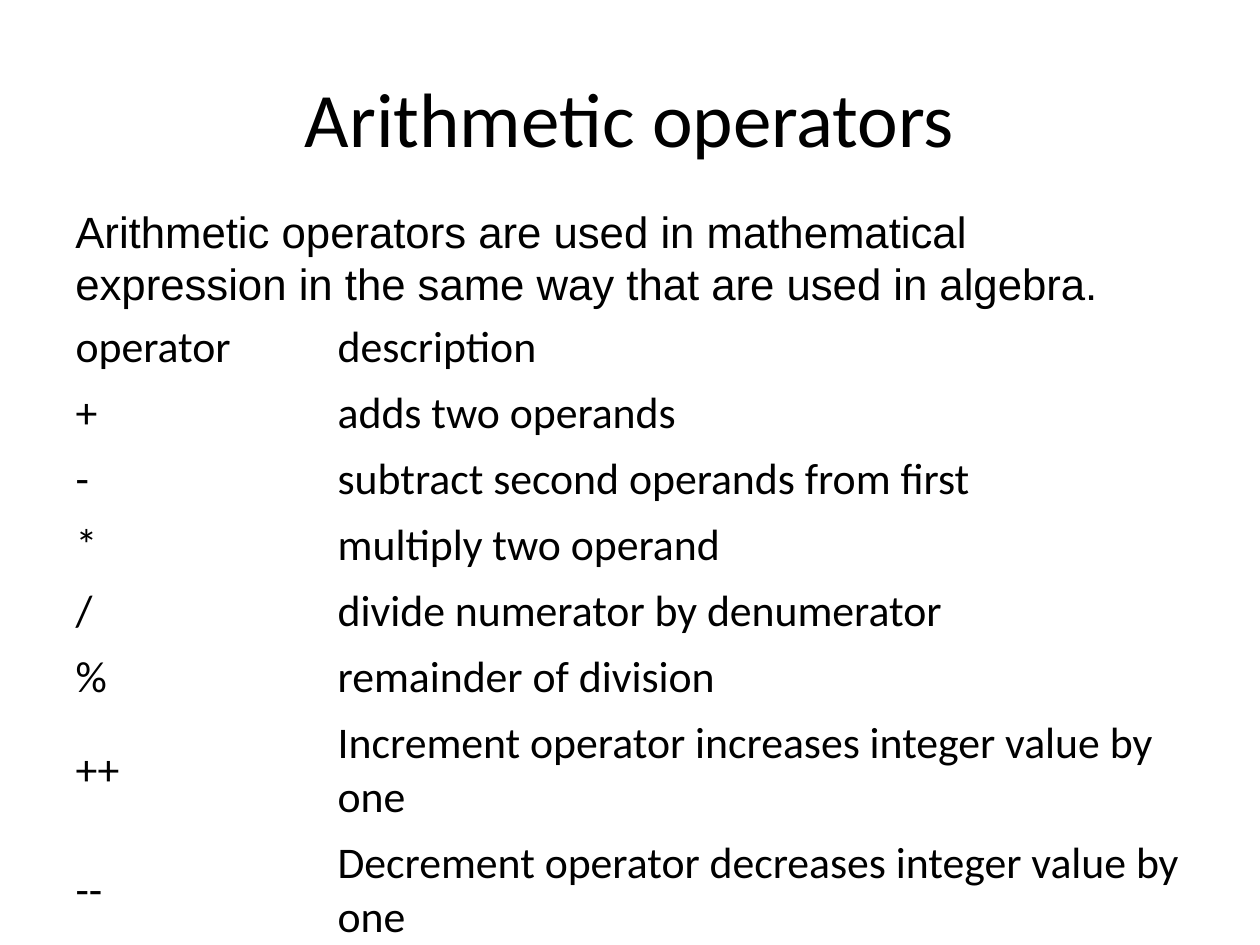
from dataclasses import dataclass

from pptx import Presentation
from pptx.dml import color
from pptx.enum import text
from pptx.util import Inches, Pt


@dataclass(frozen=True)
class Theme:
    ink: color.RGBColor = color.RGBColor(0, 0, 0)
    heading_font: str = "Calibri"
    intro_font: str = "Arial"
    title_size: int = 44
    body_size: int = 25


@dataclass(frozen=True)
class OperatorRow:
    operator: str
    description: str
    height: float = 0.52


THEME = Theme()
LEFT, WIDTH = 0.5, 9
COLUMN_WIDTHS = (2.08, 6.92)
TALL_ROW = 0.95
INTRO = (
    "Arithmetic operators are used in mathematical",
    "expression in the same way that are used in algebra.",
)
ROWS = (
    OperatorRow("operator", "description"),
    OperatorRow("+", "adds two operands"),
    OperatorRow("-", "subtract second operands from first"),
    OperatorRow("*", "multiply two operand"),
    OperatorRow("/", "divide numerator by denumerator"),
    OperatorRow("%", "remainder of division"),
    OperatorRow("++", "Increment operator increases integer value by one", TALL_ROW),
    OperatorRow("--", "Decrement operator decreases integer value by one", TALL_ROW),
)


def write(frame, lines: tuple[str, ...], font: str, size: int,
          align=text.PP_ALIGN.LEFT) -> None:
    frame.text = "\n".join(lines)
    frame.word_wrap = True
    frame.vertical_anchor = text.MSO_ANCHOR.MIDDLE
    for paragraph in frame.paragraphs:
        paragraph.alignment = align
        paragraph.font.name = font
        paragraph.font.size = Pt(size)
        paragraph.font.color.rgb = THEME.ink


def add_title(page) -> None:
    title = page.shapes.title
    title.left, title.top = Inches(LEFT), Inches(0.3)
    title.width, title.height = Inches(WIDTH), Inches(1.25)
    write(title.text_frame, ("Arithmetic operators",), THEME.heading_font,
          THEME.title_size, text.PP_ALIGN.CENTER)


def add_operator_table(page) -> None:
    frame = page.shapes.add_table(
        len(ROWS), len(COLUMN_WIDTHS), Inches(LEFT), Inches(2.5),
        Inches(WIDTH), Inches(sum(row.height for row in ROWS)))
    table = frame.table
    table.first_row = table.horz_banding = False
    for column, width in zip(table.columns, COLUMN_WIDTHS):
        column.width = Inches(width)
    for table_row, row in zip(table.rows, ROWS):
        table_row.height = Inches(row.height)
        for cell, words in zip(table_row.cells, (row.operator, row.description)):
            cell.fill.background()
            cell.vertical_anchor = text.MSO_ANCHOR.MIDDLE
            write(cell.text_frame, (words,), THEME.heading_font, THEME.body_size)


def add_intro(page) -> None:
    box = page.shapes.add_textbox(Inches(LEFT), Inches(1.57), Inches(8.5), Inches(0.94))
    write(box.text_frame, INTRO, THEME.intro_font, THEME.body_size)


deck = Presentation()
deck.slide_width, deck.slide_height = Inches(10), Inches(7.5)
page = deck.slides.add_slide(deck.slide_layouts.get_by_name("Title Only"))
add_title(page)
add_operator_table(page)
add_intro(page)
deck.save("out.pptx")
